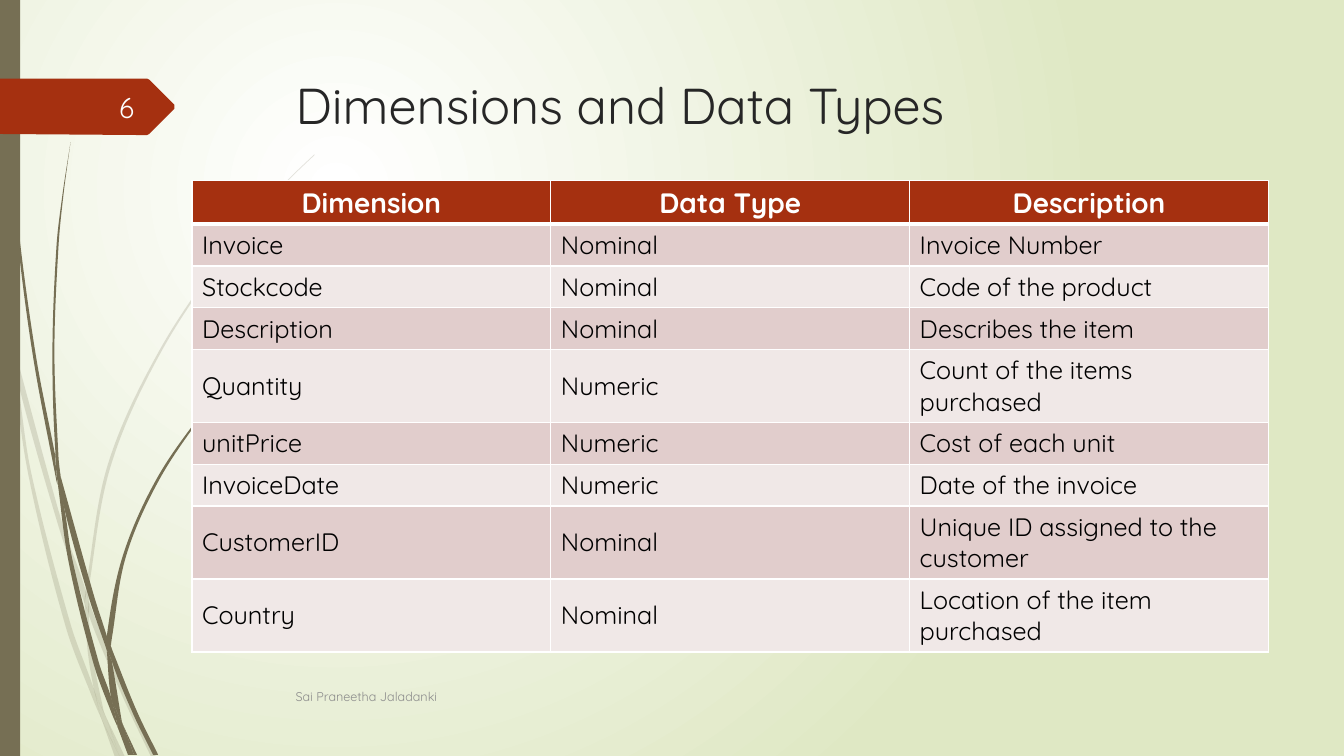
from dataclasses import dataclass
from math import dist

from lxml import etree
from pptx import Presentation
from pptx.dml.color import RGBColor
from pptx.enum import text as tx
from pptx.oxml import ns
from pptx.util import Pt

TITLE = "Dimensions and Data Types"
FOOTER = "Sai Praneetha Jaladanki"
PAGE = "6"
ROWS = [
    ("Dimension", "Data Type", "Description"),
    ("Invoice", "Nominal", "Invoice Number"),
    ("Stockcode", "Nominal", "Code of the product"),
    ("Description", "Nominal", "Describes the item"),
    ("Quantity", "Numeric", "Count of the items purchased"),
    ("unitPrice", "Numeric", "Cost of each unit"),
    ("InvoiceDate", "Numeric", "Date of the invoice"),
    ("CustomerID", "Nominal", "Unique ID assigned to the customer"),
    ("Country", "Nominal", "Location of the item purchased"),
]
# Outlines of the grass, as corner points in steps of 0.72 points
PALE = [
    [(11, 350), (9, 322), (0, 282), (0, 299), (10, 344)],
    [(58, 522), (84, 599), (85, 586), (62, 520), (14, 345), (17, 376)],
    [(92, 607), (88, 596), (88, 610), (123, 694), (150, 751), (155, 751),
     (127, 692)],
    [(119, 751), (124, 751), (105, 711)],
    [(93, 683), (70, 619), (31, 469), (17, 376), (11, 350), (28, 470),
     (65, 621), (92, 693), (101, 714), (99, 707)],
    [(84, 599), (87, 646), (93, 683), (96, 692), (105, 711), (103, 706),
     (91, 646), (88, 610), (88, 608)],
    [(88, 584), (110, 462), (160, 349), (229, 245), (268, 198), (290, 175),
     (312, 154), (312, 153), (289, 175), (268, 197), (228, 244), (158, 348),
     (107, 461), (85, 584), (85, 586), (88, 596)],
    [(101, 714), (114, 751), (119, 751)],
    [(88, 608), (88, 610), (88, 596), (85, 586), (84, 599)],
    [(96, 692), (93, 683), (99, 707), (101, 714), (119, 751), (105, 711)],
]
DARK = [
    [(7, 110), (17, 233), (33, 355), (56, 477), (57, 481), (55, 457),
     (55, 453), (36, 355), (19, 232), (8, 109), (5, 48), (4, 0), (3, 0),
     (4, 48)],
    [(88, 592), (106, 645), (106, 633), (106, 631), (93, 590), (60, 472),
     (64, 505)],
    [(113, 649), (110, 641), (111, 656), (132, 708), (152, 749), (157, 749),
     (136, 706)],
    [(110, 691), (98, 657), (72, 556), (64, 505), (57, 477), (68, 557),
     (93, 659), (111, 708), (117, 722), (116, 717)],
    [(60, 472), (58, 453), (54, 349), (58, 245), (63, 193), (70, 141),
     (62, 193), (56, 245), (52, 349), (55, 449)],
    [(133, 749), (136, 749), (122, 719)],
    [(57, 477), (64, 505), (60, 472), (55, 449), (55, 453)],
    [(111, 633), (125, 552), (158, 476), (205, 406), (231, 374), (245, 359),
     (261, 344), (260, 344), (245, 358), (231, 373), (204, 405), (156, 474),
     (122, 551), (106, 631), (110, 641)],
    [(117, 722), (127, 749), (131, 749)],
    [(106, 645), (110, 691), (116, 706), (122, 719), (121, 716), (111, 656),
     (109, 651)],
    [(106, 645), (109, 651), (111, 656), (110, 641), (106, 631), (106, 633)],
    [(116, 706), (110, 691), (116, 717), (117, 722), (130, 749), (133, 749),
     (122, 719)],
]
TAG = [(173, 108), (148, 133), (146, 134), (136, 134), (0, 133), (0, 78),
       (136, 78), (146, 78), (148, 79), (173, 104)]


@dataclass(frozen=True)
class Theme:
    font: str = "Quicksand"
    olive: str = "766F54"
    red: str = "A53010"
    rose: str = "E1CDCC"
    blush: str = "F0E8E7"
    sage: str = "DFE8C4"
    ink: str = "262626"
    black: str = "000000"
    white: str = "FFFFFF"
    pale: str = "FEFFFF"
    gray: str = "8C8C8C"
    head: int = 36
    mid: int = 20
    body: int = 18
    foot: int = 9


T = Theme()
rgb = RGBColor.from_string
LEFT, RIGHT, MID = tx.PP_ALIGN.LEFT, tx.PP_ALIGN.RIGHT, tx.PP_ALIGN.CENTER
TOP, CENTRE = tx.MSO_ANCHOR.TOP, tx.MSO_ANCHOR.MIDDLE


def sub(node, tag, **attrs):
    return etree.SubElement(node, ns.qn("a:" + tag), attrs)


def write(frame, words, size, color, align=LEFT, anchor=CENTRE, bold=False):
    frame.word_wrap = True
    frame.vertical_anchor = anchor
    frame.text = words
    para = frame.paragraphs[0]
    para.alignment = align
    font = para.font
    font.name, font.size, font.bold = T.font, Pt(size), bold
    font.color.rgb = rgb(color)


def paint(shape, color):
    shape.shadow.inherit = False
    shape.fill.solid()
    shape.fill.fore_color.rgb = rgb(color)
    shape.line.fill.background()


def label(slide, box, *args):
    write(slide.shapes.add_textbox(*map(Pt, box)).text_frame, *args)


def backdrop(slide):
    """Fill the background with a round glow, brightest at upper left."""
    fill = slide.background.fill
    fill.gradient()
    for stop, color in zip(fill.gradient_stops, (T.white, T.sage)):
        stop.color.rgb = rgb(color)
    grad = slide.element.find(".//" + ns.qn("a:gradFill"))
    grad.remove(grad.find(ns.qn("a:lin")))
    ring = sub(grad, "path", path="circle")
    sub(ring, "fillToRect", l="50000", t="50000", r="100000", b="100000")


def outline(slide, dots, color):
    pen = slide.shapes.build_freeform(*(100 * n for n in dots[0]),
                                      scale=Pt(0.72) / 100)
    pen.add_line_segments([(100 * x, 100 * y) for x, y in dots[1:]])
    shape = pen.convert_to_shape()
    paint(shape, color)
    return shape


def slope(a, b, c):
    """Return the unit direction of the curve at b, or None at a corner."""
    near, far, span = dist(a, b), dist(b, c), dist(a, c)
    dot = sum((q - p) * (r - q) for p, q, r in zip(a, b, c))
    if dot < 0.7 * near * far or not span:
        return None
    return [(r - p) / span for p, r in zip(a, c)]


def bend(shape):
    """Turn the straight sides of a freeform into curves."""
    track = shape.element.find(".//" + ns.qn("a:path"))
    dots = [(int(p.get("x")), int(p.get("y")))
            for p in track.iter(ns.qn("a:pt"))]
    for side in list(track)[1:]:
        track.remove(side)
    ways = [slope(dots[i - 1], dots[i], dots[(i + 1) % len(dots)])
            for i in range(len(dots))]
    for i, b in enumerate(dots):
        a = dots[i - 1]
        third = dist(a, b) / 3
        out = ways[i - 1] or [(q - p) / (3 * third) for p, q in zip(a, b)]
        into = ways[i] or [(q - p) / (3 * third) for p, q in zip(a, b)]
        pulls = [[p + third * d for p, d in zip(a, out)],
                 [q - third * d for q, d in zip(b, into)], b]
        if i:
            curve = sub(track, "cubicBezTo")
        else:
            last = curve = etree.Element(ns.qn("a:cubicBezTo"))
        for x, y in pulls:
            sub(curve, "pt", x=str(round(x)), y=str(round(y)))
    track.append(last)
    sub(track, "close")


def grass(slide, blades, alpha=100):
    for dots in blades:
        shape = outline(slide, dots, T.olive)
        bend(shape)
        if alpha < 100:
            tint = shape.element.find(".//" + ns.qn("a:srgbClr"))
            sub(tint, "alpha", val=str(alpha * 1000))


def border(cell, side, width):
    line = sub(cell._tc.get_or_add_tcPr(), "ln" + side, w=str(Pt(width)))
    sub(sub(line, "solidFill"), "srgbClr", val=T.white)


def grid(slide):
    wide = 256.3
    tall = [31.2] + [52.2 if len(row[2]) > 20 else 29.8 for row in ROWS[1:]]
    table = slide.shapes.add_table(len(ROWS), 3, Pt(137.2), Pt(129),
                                   Pt(3 * wide), Pt(sum(tall))).table
    for col in table.columns:
        col.width = Pt(wide)
    for r, row in enumerate(ROWS):
        table.rows[r].height = Pt(tall[r])
        for c, words in enumerate(row):
            cell = table.cell(r, c)
            for side in "LRTB":
                border(cell, side, 3 if (r, side) in ((0, "B"), (1, "T")) else 1)
            cell.fill.solid()
            shade = T.rose if r % 2 else T.blush
            cell.fill.fore_color.rgb = rgb(shade if r else T.red)
            if r:
                write(cell.text_frame, words, T.body, T.black)
                cell.vertical_anchor = CENTRE
            else:
                write(cell.text_frame, words, T.mid, T.white, MID, TOP, True)


def main():
    deck = Presentation()
    deck.slide_width, deck.slide_height = Pt(960), Pt(540)
    slide = deck.slides.add_slide(deck.slide_layouts[5])
    backdrop(slide)
    grass(slide, PALE, 20)
    grass(slide, DARK)
    paint(slide.shapes.add_shape(1, 0, 0, Pt(14.4), Pt(540)), T.olive)
    outline(slide, TAG, T.red)
    title = slide.shapes.title
    title.left, title.top, title.width, title.height = map(Pt, (204, 49, 702, 101))
    write(title.text_frame, TITLE, T.head, T.ink, LEFT, TOP)
    label(slide, (42, 62, 61, 29), PAGE, T.mid, T.pale, RIGHT)
    grid(slide)
    label(slide, (204, 483, 600, 29), FOOTER, T.foot, T.gray)
    deck.save("out.pptx")


if __name__ == "__main__":
    main()
